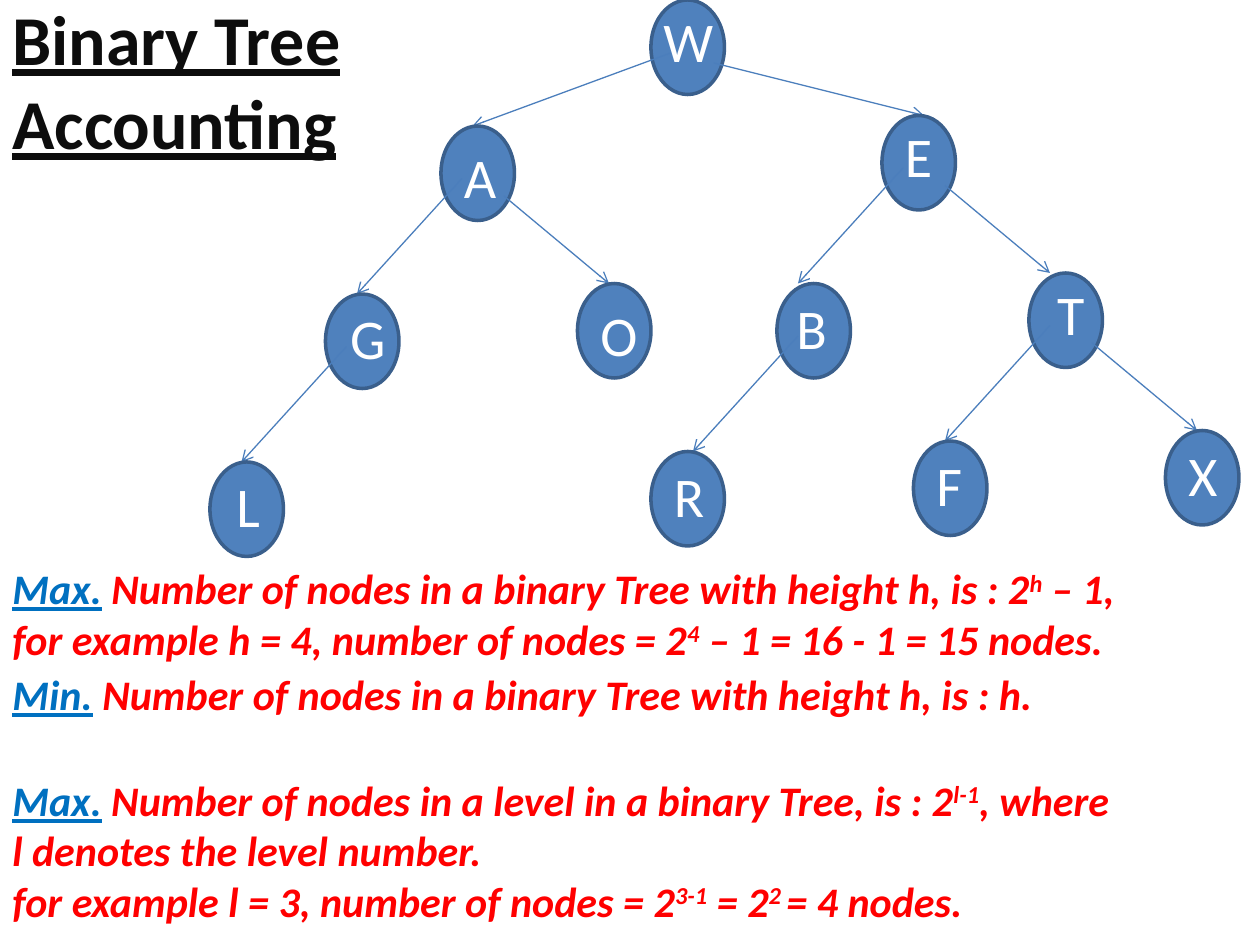
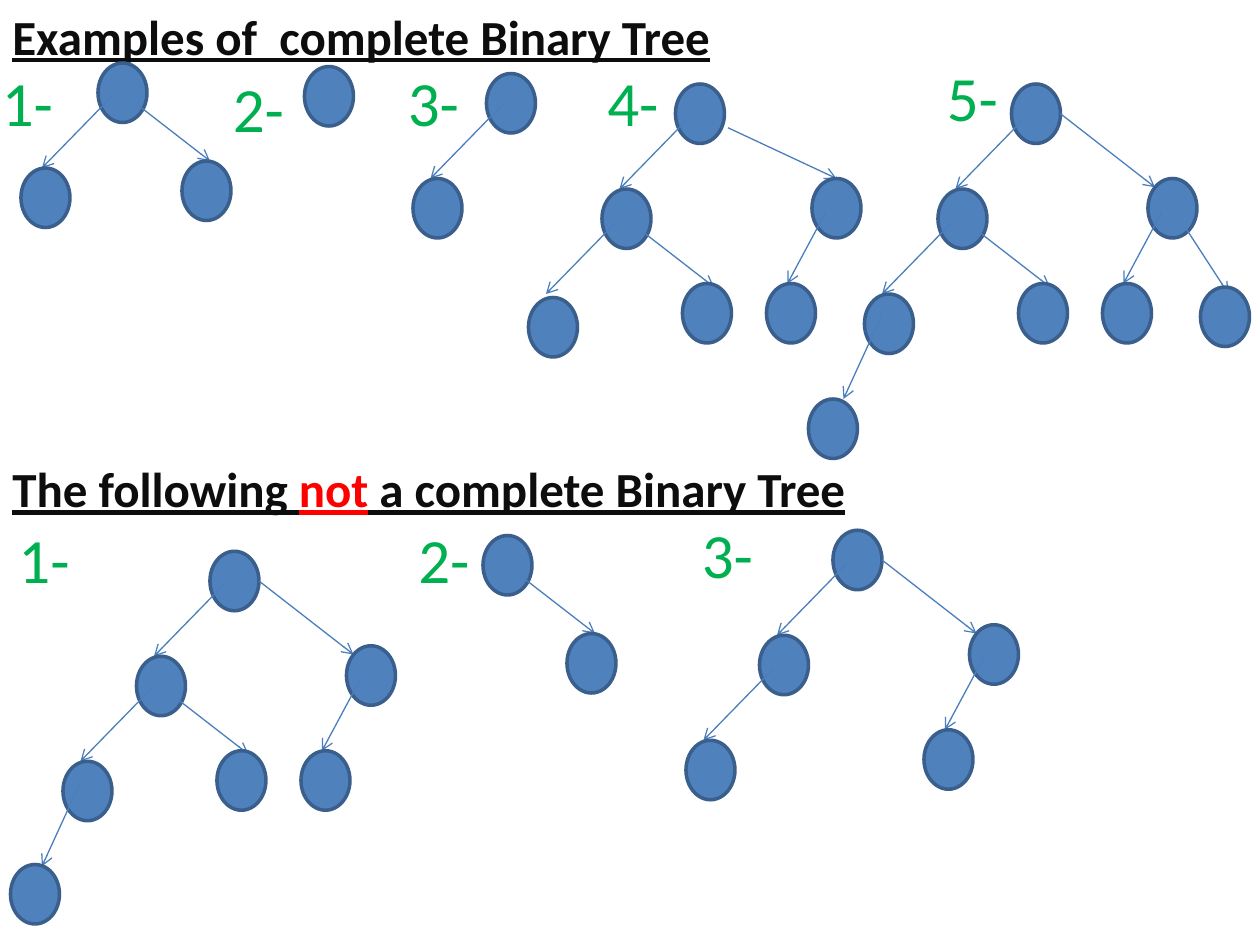
from lxml import etree
from pptx import Presentation
from pptx.dml.color import RGBColor
from pptx.enum.shapes import MSO_CONNECTOR, MSO_SHAPE
from pptx.enum.text import MSO_AUTO_SIZE
from pptx.oxml.ns import qn
from pptx.util import Pt

ELLIPSE = MSO_SHAPE.OVAL
STRAIGHT = MSO_CONNECTOR.STRAIGHT
FIT_SHAPE = MSO_AUTO_SIZE.SHAPE_TO_FIT_TEXT
FONT = "Calibri"
NODE_FILL, NODE_LINE, ARROW_LINE = "4F81BD", "3A5F8C", "4B7EBC"

# Run style: size, colour, bold, italic, underline, superscript
STYLES = {
    "title": (40, "0D0D0D", True, False, True, False),
    "heading": (28, "0D0D0D", True, False, True, False),
    "stress": (28, "FF0000", True, False, True, False),
    "term": (24, "0070C0", True, True, True, False),
    "body": (24, "FF0000", True, True, False, False),
    "power": (24, "FF0000", True, True, False, True),
    "letter": (32, "FFFFFF", False, False, False, False),
    "number": (36, "00B050", False, False, False, False),
}


def add_text(slide, box, paragraphs, wrap=True):
    """Add a text box; each paragraph is a list of (style name, text) runs."""
    text_box = slide.shapes.add_textbox(*[Pt(length) for length in box])
    text_frame = text_box.text_frame
    text_frame.word_wrap = wrap
    text_frame.auto_size = FIT_SHAPE
    for index, runs in enumerate(paragraphs):
        paragraph = text_frame.add_paragraph() if index else text_frame.paragraphs[0]
        for style, text in runs:
            size, colour, bold, italic, underline, superscript = STYLES[style]
            run = paragraph.add_run()
            run.text = text
            run.font.name = FONT
            run.font.size = Pt(size)
            run.font.bold = bold
            run.font.italic = italic
            run.font.underline = underline
            run.font.color.rgb = RGBColor.from_string(colour)
            if superscript:
                run._r.get_or_add_rPr().set("baseline", "30000")


def add_branch(slide, node, arrow=None):
    """Add the arrow from the parent, if any, and then the node it leads to."""
    if arrow:
        connector = slide.shapes.add_connector(STRAIGHT, *[Pt(length) for length in arrow])
        connector.line.color.rgb = RGBColor.from_string(ARROW_LINE)
        connector.line.width = Pt(0.75)
        etree.SubElement(connector.line._get_or_add_ln(), qn("a:tailEnd"), type="arrow")
        etree.SubElement(connector._element.spPr, qn("a:effectLst"))
    shape = slide.shapes.add_shape(ELLIPSE, *[Pt(length) for length in node])
    shape.shadow.inherit = False
    shape.fill.solid()
    shape.fill.fore_color.rgb = RGBColor.from_string(NODE_FILL)
    shape.line.color.rgb = RGBColor.from_string(NODE_LINE)
    shape.line.width = Pt(2)


presentation = Presentation()
presentation.slide_width, presentation.slide_height = Pt(720), Pt(540)
blank_layout = presentation.slide_layouts[6]

# Slide 1: lettered tree and node counts
slide = presentation.slides.add_slide(blank_layout)
LARGE_NODE = (42, 54)
# Where an arrow leaves its parent, measured from the parent's top left corner
LEFT, RIGHT, FLAT_RIGHT = (12, 30), (36, 40), (36, 36)

# Letter: node position, letter position, letter width
lettered_nodes = {
    "W": ((372, 0), (372, 0), 43),
    "A": ((252, 72), (258, 78), 33),
    "E": ((504, 66), (510, 66), 30),
    "G": ((186, 168), (193, 170), 35),
    "O": ((330, 162), (336, 168), 36),
    "B": ((444, 162), (448, 164), 32),
    "T": ((588, 156), (597, 156), 30),
    "R": ((372, 258), (378, 260), 32),
    "F": ((522, 252), (528, 254), 30),
    "X": ((666, 246), (672, 248), 32),
    "L": ((120, 264), (128, 266), 28),
}
# Child: parent, departure, distance of the arrowhead from the child's left edge
parents = {
    "A": ("W", LEFT, 18),
    "E": ("W", FLAT_RIGHT, 24),
    "G": ("A", LEFT, 18),
    "O": ("A", RIGHT, 18),
    "B": ("E", LEFT, 12),
    "T": ("E", RIGHT, 12),
    "R": ("B", LEFT, 24),
    "F": ("T", LEFT, 18),
    "X": ("T", RIGHT, 18),
    "L": ("G", LEFT, 18),
}
for letter, ((left, top), _, _) in lettered_nodes.items():
    arrow = None
    if letter in parents:
        parent, (start_x, start_y), arrival = parents[letter]
        parent_left, parent_top = lettered_nodes[parent][0]
        arrow = (parent_left + start_x, parent_top + start_y, left + arrival, top)
    add_branch(slide, (left, top, *LARGE_NODE), arrow)
for letter, (_, (left, top), width) in lettered_nodes.items():
    add_text(slide, (left, top, width, 46), [[("letter", letter)]], wrap=False)

add_text(slide, (0, -6, 240, 104), [[("title", "Binary Tree")], [("title", "Accounting")]])
add_text(slide, (0, 318, 702, 65.5), [
    [("term", "Max."), ("body", " Number of nodes in a binary Tree with height h, is : 2"),
     ("power", "h"), ("body", " – 1,")],
    [("body", "for example h = 4, number of nodes = 2"), ("power", "4"),
     ("body", " – 1 = 16 - 1 = 15 nodes.")],
])
add_text(slide, (0, 439, 720, 94.5), [
    [("term", "Max."), ("body", " Number of nodes in a level in a binary Tree, is : 2"),
     ("power", "l-1"), ("body", ", where")],
    [("body", "l denotes the level number.")],
    [("body", "for example l = 3, number of nodes = 2"), ("power", "3-1"),
     ("body", " = 2"), ("power", "2 "), ("body", "= 4 nodes.")],
])
add_text(slide, (0, 378.5, 648, 36), [
    [("term", "Min."), ("body", " Number of nodes in a binary Tree with height h, is : h.")],
])

# Slide 2: complete and incomplete trees
slide = presentation.slides.add_slide(blank_layout)
SMALL_NODE = (28, 34)

# Node position and arrow ends, all measured from the root's top left corner.
# Names spell the way down from the root.
branches = {
    "left": ((-42, 60), (8, 19, -32, 60)),
    "right": ((78, 54), (28, 17, 82, 59)),
    "right flat": ((78, 54), (30, 25, 92, 54)),
    "right near": ((48, 56), (24, 25, 64, 56)),
    "left left": ((-84, 120), (-34, 79, -74, 120)),
    "left right": ((4, 114), (-18, 85, 22, 116)),
    "right left": ((52, 114), (86, 73, 64, 114)),
    "right right": ((108, 116), (100, 83, 124, 120)),
    "left left left": ((-116, 180), (-74, 132, -96, 180)),
}
two_levels = ["left left", "left right", "right left"]
# Number, its position, root position, branches, small shifts of single nodes
trees = [
    ("1-", (-6, 33), (56, 36), ["left", "right near"], {"left": (-2, 0)}),
    ("2-", (126, 36), (174, 38), [], {}),
    ("3-", (226, 33), (278, 42), ["left"], {}),
    ("4-", (340, 33), (386, 48), ["left", "right flat", *two_levels], {"left left": (0, 2)}),
    ("5-", (534, 30), (578, 48),
     ["left", "right", *two_levels, "right right", "left left left"], {}),
    ("1-", (3.5, 294), (120, 315),
     ["left", "right", *two_levels, "left left left"], {"left left left": (2, -1)}),
    ("2-", (232, 294), (276, 306), ["right near"], {}),
    ("3-", (394, 291), (476, 303), ["left", "right", "left left", "right left"], {}),
]

add_text(slide, (0, 0, 426, 41), [[("heading", "Examples of  complete Binary Tree")]])
add_text(slide, (0, 258.5, 504, 41), [
    [("heading", "The following "), ("stress", "not"), ("heading", " a complete Binary Tree")],
])
for number, number_position, (root_x, root_y), names, shifts in trees:
    add_branch(slide, (root_x, root_y, *SMALL_NODE))
    for name in names:
        (node_x, node_y), (start_x, start_y, end_x, end_y) = branches[name]
        shift_x, shift_y = shifts.get(name, (0, 0))
        node = (root_x + node_x + shift_x, root_y + node_y + shift_y, *SMALL_NODE)
        arrow = (root_x + start_x, root_y + start_y, root_x + end_x, root_y + end_y)
        add_branch(slide, node, arrow)
    add_text(slide, (*number_position, 44, 51), [[("number", number)]], wrap=False)

presentation.save("out.pptx")
